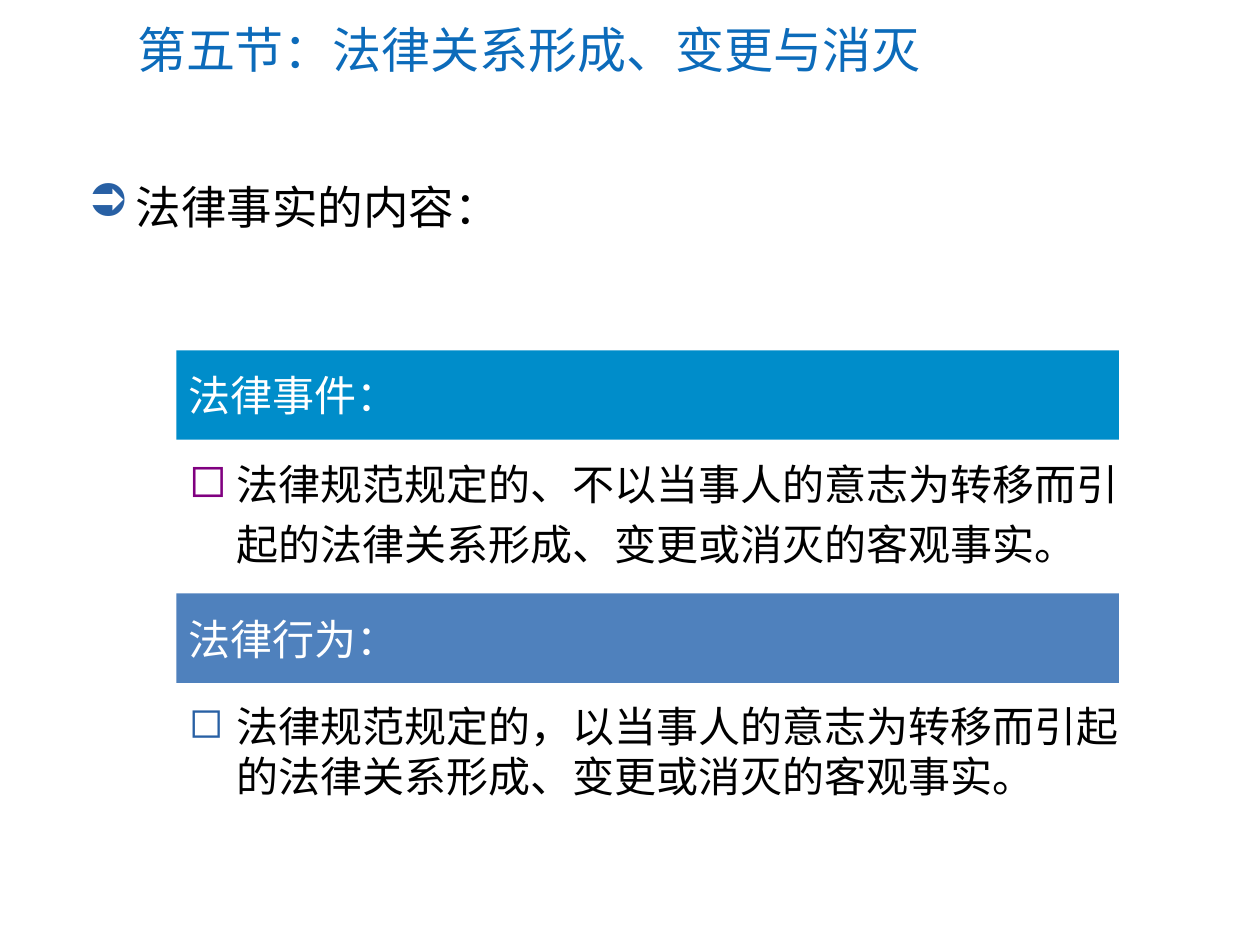
from dataclasses import dataclass
from typing import Optional

from lxml import etree
from pptx import Presentation
from pptx.dml.color import RGBColor
from pptx.enum import shapes, text
from pptx.oxml.ns import qn
from pptx.util import Inches, Pt


@dataclass(frozen=True)
class Theme:
    font: str = "Calibri"
    title: str = "0C6BBA"
    ink: str = "000000"
    paper: str = "FFFFFF"
    blue: str = "2860A4"
    purple: str = "800080"
    cyan: str = "008DCA"
    steel: str = "4F81BD"
    head: int = 28
    lead: int = 26
    body: int = 24


@dataclass(frozen=True)
class Box:
    left: float
    top: float
    width: float
    height: float


@dataclass(frozen=True)
class Bullet:
    char: str
    color: str
    size: int = 100


@dataclass(frozen=True)
class Topic:
    label: str
    fill: str
    bar: Box
    note: str
    area: Box
    mark: Bullet
    lines: Optional[float] = None


THEME = Theme()
LEFT, BAR_W, NOTE_W, BAR_H = 1.4, 7.48, 7.68, 0.71
INDENT = 0.38

TOPICS = [
    Topic("法律事件：", THEME.cyan, Box(LEFT, 2.78, BAR_W, BAR_H),
          "法律规范规定的、不以当事人的意志为转移而引起的法律关系形成、变更或消灭的客观事实。",
          Box(LEFT, 3.51, NOTE_W, 1.07), Bullet("◻", THEME.purple, 110), 1.2),
    Topic("法律行为：", THEME.steel, Box(LEFT, 4.71, BAR_W, BAR_H),
          "法律规范规定的，以当事人的意志为转移而引起的法律关系形成、变更或消灭的客观事实。",
          Box(LEFT, 5.51, NOTE_W, 0.91), Bullet("◻", THEME.blue)),
]


def place(box: Box) -> tuple:
    return tuple(Inches(v) for v in (box.left, box.top, box.width, box.height))


def mark(para, bullet: Bullet) -> None:
    """Give the paragraph a hanging bullet."""
    props = para._p.get_or_add_pPr()
    props.set("marL", str(Inches(INDENT)))
    props.set("indent", str(-Inches(INDENT)))
    color = etree.SubElement(props, qn("a:buClr"))
    etree.SubElement(color, qn("a:srgbClr"), val=bullet.color)
    etree.SubElement(props, qn("a:buSzPct"), val=str(bullet.size * 1000))
    etree.SubElement(props, qn("a:buChar"), char=bullet.char)


def write(shape, words: str, size: int, color: str, middle: bool = False,
          bullet: Optional[Bullet] = None, lines: Optional[float] = None) -> None:
    frame = shape.text_frame
    frame.word_wrap = True
    anchor = text.MSO_ANCHOR
    frame.vertical_anchor = anchor.MIDDLE if middle else anchor.TOP
    para = frame.paragraphs[0]
    para.text = words
    para.alignment = text.PP_ALIGN.LEFT
    if lines:
        para.line_spacing = lines
    if bullet:
        mark(para, bullet)
    para.font.name = THEME.font
    para.font.size = Pt(size)
    para.font.color.rgb = RGBColor.from_string(color)


def draw(slide, topic: Topic) -> None:
    bar = slide.shapes.add_shape(shapes.MSO_SHAPE.RECTANGLE, *place(topic.bar))
    bar.shadow.inherit = False
    bar.fill.solid()
    bar.fill.fore_color.rgb = RGBColor.from_string(topic.fill)
    bar.line.fill.background()
    write(bar, topic.label, THEME.body, THEME.paper, middle=True)
    note = slide.shapes.add_textbox(*place(topic.area))
    write(note, topic.note, THEME.body, THEME.ink,
          bullet=topic.mark, lines=topic.lines)


def main() -> None:
    deck = Presentation()
    deck.slide_width, deck.slide_height = Inches(10), Inches(7.5)
    slide = deck.slides.add_slide(deck.slide_layouts[6])
    title = slide.shapes.add_textbox(*place(Box(0.99, 0.1, 8.72, 0.58)))
    write(title, "第五节：法律关系形成、变更与消灭", THEME.head, THEME.title, middle=True)
    lead = slide.shapes.add_textbox(*place(Box(0.6, 1.37, 7.56, 0.77)))
    write(lead, "法律事实的内容：", THEME.lead, THEME.ink,
          bullet=Bullet("➲", THEME.blue))
    for topic in TOPICS:
        draw(slide, topic)
    deck.save("out.pptx")


if __name__ == "__main__":
    main()
